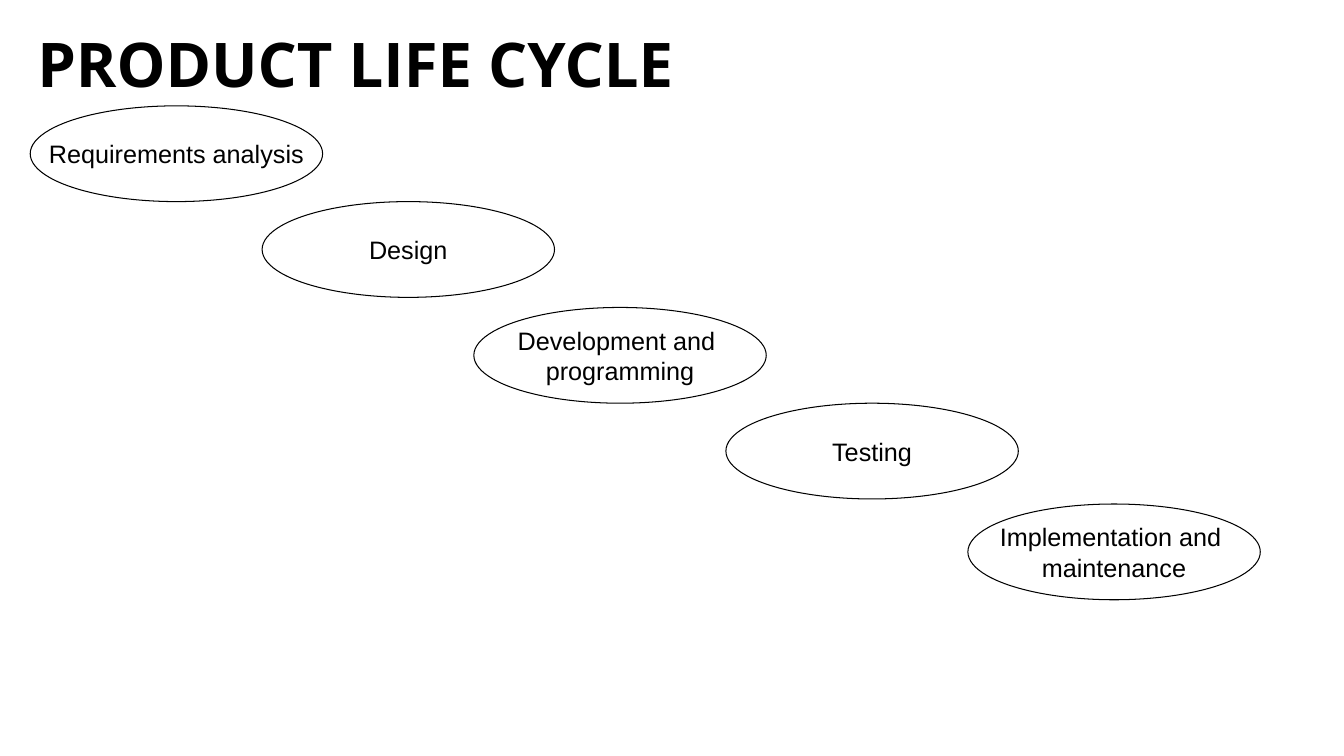
from dataclasses import dataclass

from pptx import Presentation
from pptx.dml.color import RGBColor
from pptx.enum.shapes import MSO_SHAPE
from pptx.enum.text import MSO_ANCHOR, MSO_AUTO_SIZE, PP_ALIGN
from pptx.slide import Slide
from pptx.text.text import TextFrame
from pptx.util import Inches, Pt

BLACK = RGBColor(0x00, 0x00, 0x00)
WHITE = RGBColor(0xFF, 0xFF, 0xFF)

STAGE_WIDTH, STAGE_HEIGHT = Inches(2.9), Inches(0.95)

TITLE_FONT = {"name": "Open Sans", "size": Pt(44), "bold": True}
STAGE_FONT = {"name": "Arial", "size": Pt(18), "bold": False}
TITLE_FRAME = {
    "margin_left": Inches(0),
    "vertical_anchor": MSO_ANCHOR.MIDDLE,
    "auto_size": MSO_AUTO_SIZE.NONE,
    "word_wrap": True,
}
STAGE_FRAME = {"vertical_anchor": MSO_ANCHOR.MIDDLE, "word_wrap": False}


@dataclass(frozen=True)
class Stage:
    left: float
    top: float
    text: str


STAGES = [
    Stage(0.3, 1.05, "Requirements analysis"),
    Stage(2.6, 2, "Design"),
    Stage(4.7, 3.05, "Development and \nprogramming"),
    Stage(7.2, 4, "Testing"),
    Stage(9.6, 5, "Implementation and \nmaintenance"),
]


def apply_format(target: object, values: dict) -> None:
    for name, value in values.items():
        setattr(target, name, value)


def write_text(tf: TextFrame, text: str, frame: dict, font: dict, para: dict) -> None:
    apply_format(tf, frame)
    tf.text = text
    for p in tf.paragraphs:
        apply_format(p, para)
        for r in p.runs:
            apply_format(r.font, font)
            r.font.color.rgb = BLACK


def add_title(s: Slide, text: str) -> None:
    sp = s.shapes.title
    apply_format(sp, {"left": Inches(0.37), "top": Inches(0.3),
                      "width": Inches(11.83), "height": Inches(0.75)})
    write_text(sp.text_frame, text, TITLE_FRAME, TITLE_FONT,
               {"alignment": PP_ALIGN.LEFT, "line_spacing": 0.9})


def add_stage(s: Slide, stage: Stage) -> None:
    sp = s.shapes.add_shape(MSO_SHAPE.OVAL, Inches(stage.left), Inches(stage.top),
                            STAGE_WIDTH, STAGE_HEIGHT)
    sp.shadow.inherit = False
    sp.fill.solid()
    sp.fill.fore_color.rgb = WHITE
    sp.line.color.rgb = BLACK
    sp.line.width = Pt(0.75)
    write_text(sp.text_frame, stage.text, STAGE_FRAME, STAGE_FONT,
               {"alignment": PP_ALIGN.CENTER})


def main() -> None:
    prs = Presentation()
    prs.slide_width, prs.slide_height = Inches(13.33), Inches(7.5)
    s = prs.slides.add_slide(prs.slide_layouts[5])

    # Heading
    add_title(s, "PRODUCT LIFE CYCLE")

    # Stages, stepping down to the right
    for stage in STAGES:
        add_stage(s, stage)

    prs.save("out.pptx")


if __name__ == "__main__":
    main()
